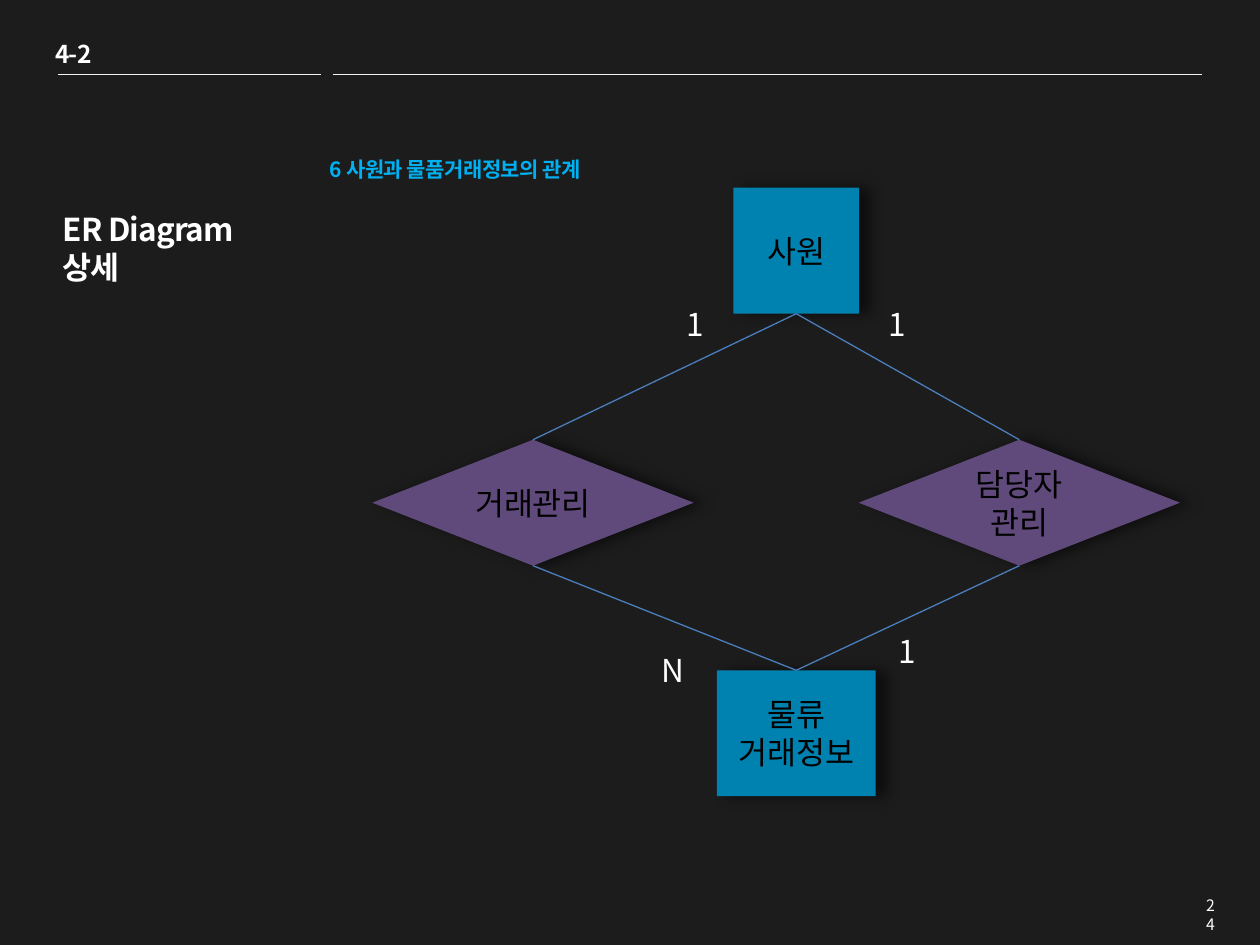
from lxml import etree
from pptx import Presentation
from pptx import util as u
from pptx.dml.color import RGBColor
from pptx.enum import shapes, text
from pptx.oxml.ns import qn

W, H = 10, 7.5
FONT = "Noto Sans CJK KR"
COLORS = {"bg": "1C1C1C", "white": "FFFFFF", "rule": "F2F2F2", "accent": "00B0F0",
          "entity": "0082B0", "relation": "604A7B", "link": "4B7EBC", "black": "000000"}
COLS = {"left": 4.23, "mid": 6.32, "right": 8.09}
ROWS = {"top": 1.49, "middle": 3.49, "bottom": 5.32}
NODE_H = 1
RULE_Y = 0.59
RULES = [(0.46, 2.55), (2.64, 9.54)]

NODES = {
    "employee": (["사원"], "entity", "mid", "top", 1),
    "trade": (["거래관리"], "relation", "left", "middle", 2.55),
    "manager": (["담당자", "관리"], "relation", "right", "middle", 2.55),
    "logistics": (["물류", "거래정보"], "entity", "mid", "bottom", 1.26),
}
LINKS = [("employee", 2, "trade", 0), ("employee", 2, "manager", 0),
         ("logistics", 0, "trade", 2), ("logistics", 0, "manager", 2)]
CARDINALITIES = [("1", 5.35, 2.37), ("1", 6.95, 2.37), ("N", 5.15, 5.12), ("1", 7.03, 4.97)]
HEADINGS = [
    (["4-2"], (0.34, 0.26, 0.49, 0.34), dict(size=14, bold=True, spacing=-50)),
    (["6 사원과 물품거래정보의 관계"], (2.52, 1.19, 2.83, 0.3),
     dict(size=12, bold=True, spacing=-30, color="accent", wrap=True)),
    (["ER Diagram", "상세"], (0.4, 1.62, 2.15, 1),
     dict(bold=True, spacing=-50, wrap=True)),
    (["24"], (9.46, 7.06, 0.28, 0.25),
     dict(size=9, align=text.PP_ALIGN.RIGHT, wrap=True)),
]


def rgb(name):
    return RGBColor.from_string(COLORS[name])


def write(sp, lines, size=18, color="white", bold=False, spacing=0, wrap=False,
          align=text.PP_ALIGN.LEFT, anchor=text.MSO_ANCHOR.TOP):
    tf = sp.text_frame
    tf.word_wrap = wrap
    tf.vertical_anchor = anchor
    for i, line in enumerate(lines):
        p = tf.add_paragraph() if i else tf.paragraphs[0]
        p.alignment = align
        r = p.add_run()
        r.text = line
        r.font.name, r.font.size, r.font.bold = FONT, u.Pt(size), bold
        r.font.color.rgb = rgb(color)
        rpr = r.font._element
        etree.SubElement(rpr, qn("a:ea"), typeface=FONT)
        if spacing:
            rpr.set("spc", str(spacing))


def add_text(s, lines, box, **fmt):
    write(s.shapes.add_textbox(*map(u.Inches, box)), lines, **fmt)


def add_shadow(sp):
    sp.shadow.inherit = False
    effects = sp._element.spPr.find(qn("a:effectLst"))
    outer = etree.SubElement(effects, qn("a:outerShdw"), blurRad=str(u.Pt(8)),
                             dist=str(u.Pt(6)), dir="0", algn="l", rotWithShape="0")
    color = etree.SubElement(outer, qn("a:srgbClr"), val=COLORS["black"])
    etree.SubElement(color, qn("a:alpha"), val="55000")


def add_node(s, lines, kind, col, row, width):
    preset = shapes.MSO_SHAPE.RECTANGLE if kind == "entity" else shapes.MSO_SHAPE.DIAMOND
    box = (COLS[col] - width / 2, ROWS[row], width, NODE_H)
    sp = s.shapes.add_shape(preset, *map(u.Inches, box))
    sp.fill.solid()
    sp.fill.fore_color.rgb = rgb(kind)
    sp.line.fill.background()
    add_shadow(sp)
    write(sp, lines, color="black", wrap=True, align=text.PP_ALIGN.CENTER,
          anchor=text.MSO_ANCHOR.MIDDLE)
    return sp


def add_line(s, color, width, ends=(0, 0, 0, 0)):
    line = s.shapes.add_connector(shapes.MSO_CONNECTOR.STRAIGHT, *map(u.Inches, ends))
    line.line.color.rgb = rgb(color)
    line.line.width = u.Pt(width)
    etree.SubElement(line._element.spPr, qn("a:effectLst"))
    return line


def main():
    prs = Presentation()
    prs.slide_width, prs.slide_height = u.Inches(W), u.Inches(H)
    s = prs.slides.add_slide(prs.slide_layouts[6])
    s.background.fill.solid()
    s.background.fill.fore_color.rgb = rgb("bg")

    for start, end in RULES:
        add_line(s, "rule", 0.25, (start, RULE_Y, end, RULE_Y))
    for lines, box, fmt in HEADINGS:
        add_text(s, lines, box, **fmt)
    nodes = {name: add_node(s, *node) for name, node in NODES.items()}
    for source, out_side, target, in_side in LINKS:
        line = add_line(s, "link", 0.75)
        line.begin_connect(nodes[source], out_side)
        line.end_connect(nodes[target], in_side)
    for label, left, top in CARDINALITIES:
        add_text(s, [label], (left, top, 0.35, 0.4))

    prs.save("out.pptx")


if __name__ == "__main__":
    main()
